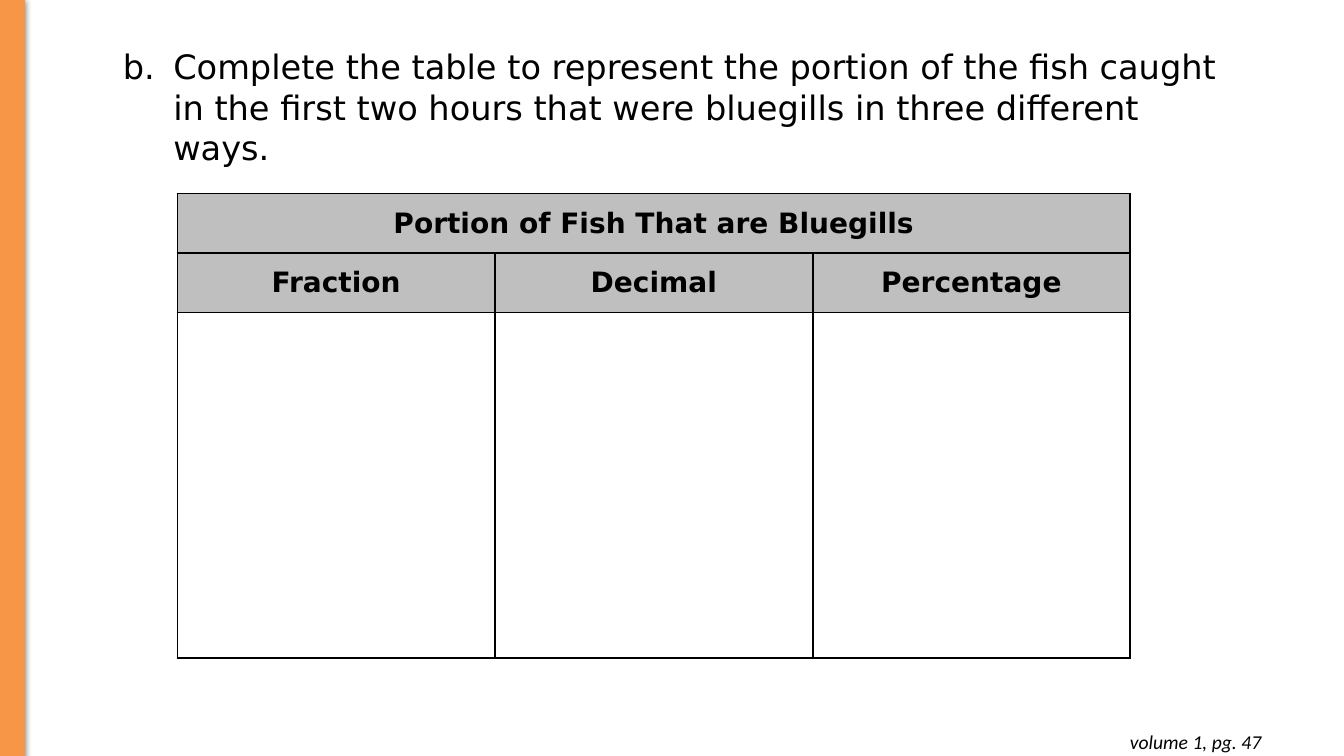
"""Build the bluegill slide: a lettered question above a table to complete."""
from lxml import etree
from pptx import Presentation
from pptx.dml.color import RGBColor
from pptx.enum import shapes, text
from pptx.oxml import ns
from pptx.util import Inches, Pt


def color(hex_code):
    return RGBColor.from_string(hex_code)


def add_run(p, words, font, size, **style):
    r = p.add_run()
    r.text = words
    r.font.name, r.font.size = font, Pt(size)
    r.font.color.rgb = color("000000")
    for key, value in style.items():
        setattr(r.font, key, value)


BODY = "DejaVu Sans"
A = ns.nsdecls("a")

prs = Presentation()
prs.slide_width, prs.slide_height = Inches(13.33), Inches(7.5)
s = prs.slides.add_slide(prs.slide_layouts[6])

question = s.shapes.add_textbox(Inches(0.62), Inches(0.41), Inches(11.81), Inches(1.31))
tf = question.text_frame
tf.word_wrap = True
p = tf.paragraphs[0]
pPr = p._p.get_or_add_pPr()
pPr.set("marL", str(Inches(1)))
pPr.set("indent", str(Inches(-0.5)))
for bullet in (
    f'<a:buClr {A}><a:srgbClr val="000000"/></a:buClr>',
    f'<a:buFont {A} typeface="{BODY}"/>',
    f'<a:buAutoNum {A} type="alphaLcPeriod" startAt="2"/>',
):
    pPr.append(etree.fromstring(bullet))
add_run(p, "Complete the table to represent the portion of the fish caught in the first "
           "two hours that were bluegills in three different ways.", BODY, 24)

bar = s.shapes.add_shape(shapes.MSO_SHAPE.RECTANGLE, 0, Inches(-0.01), Inches(0.24), Inches(7.51))
bar.fill.solid()
bar.fill.fore_color.rgb = color("F79647")
bar.line.color.rgb = color("F79647")
bar.line.width = Pt(0.75)
bar.shadow.inherit = False
bar._element.spPr.find(ns.qn("a:effectLst")).append(etree.fromstring(
    f'<a:outerShdw {A} blurRad="{Pt(4.5)}" dist="{Pt(1.5)}" dir="5400000" rotWithShape="0">'
    '<a:srgbClr val="000000"><a:alpha val="50000"/></a:srgbClr></a:outerShdw>'))

rows = [["Portion of Fish That are Bluegills", "", ""],
        ["Fraction", "Decimal", "Percentage"],
        ["", "", ""]]
heights = [0.59, 0.59, 3.43]
table = s.shapes.add_table(3, 3, Inches(1.76), Inches(1.92), Inches(9.45), Inches(sum(heights))).table
for column in table.columns:
    column.width = Inches(9.45 / 3)
for i, (labels, height) in enumerate(zip(rows, heights)):
    table.rows[i].height = Inches(height)
    for j, label in enumerate(labels):
        cell = table.cell(i, j)
        cell.vertical_anchor = text.MSO_ANCHOR.MIDDLE
        cell.fill.solid()
        cell.fill.fore_color.rgb = color("BFBFBF" if i < 2 else "FFFFFF")
        for k, side in enumerate("LRTB"):
            cell._tc.tcPr.insert(k, etree.fromstring(
                f'<a:ln{side} {A} w="{Pt(1.5)}"><a:solidFill><a:srgbClr val="000000"/>'
                f'</a:solidFill></a:ln{side}>'))
        if label:
            p = cell.text_frame.paragraphs[0]
            p.alignment = text.PP_ALIGN.CENTER
            add_run(p, label, BODY, 20, bold=True)
table.cell(0, 0).merge(table.cell(0, 2))

page_ref = s.shapes.add_textbox(Inches(9.73), Inches(7.14), Inches(2.88), Inches(0.44))
tf = page_ref.text_frame
tf.word_wrap = True
tf.margin_top = tf.margin_bottom = Inches(0.1)
p = tf.paragraphs[0]
p.alignment = text.PP_ALIGN.RIGHT
add_run(p, "volume 1, pg. 47", "Calibri", 14, italic=True)

prs.save("out.pptx")
